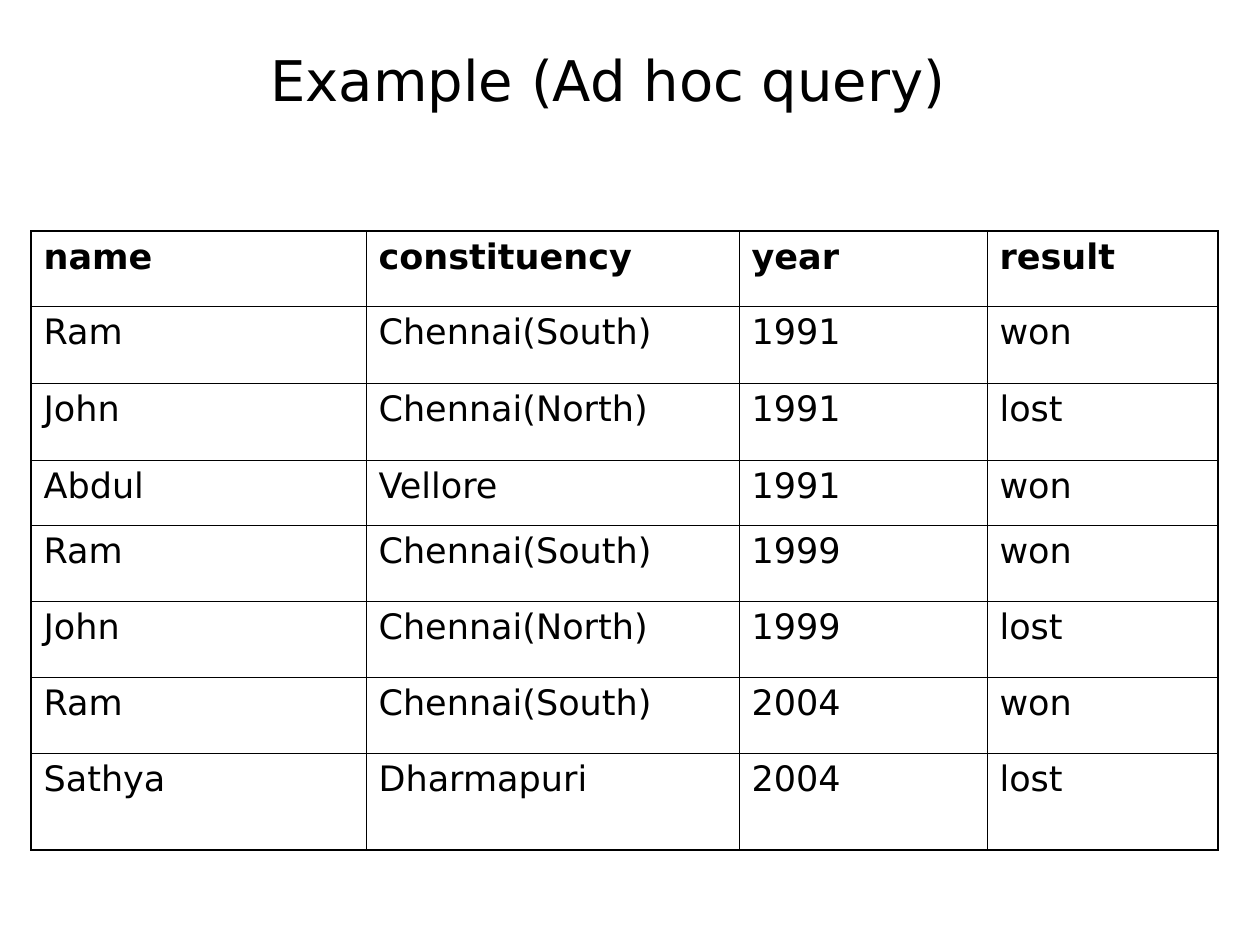
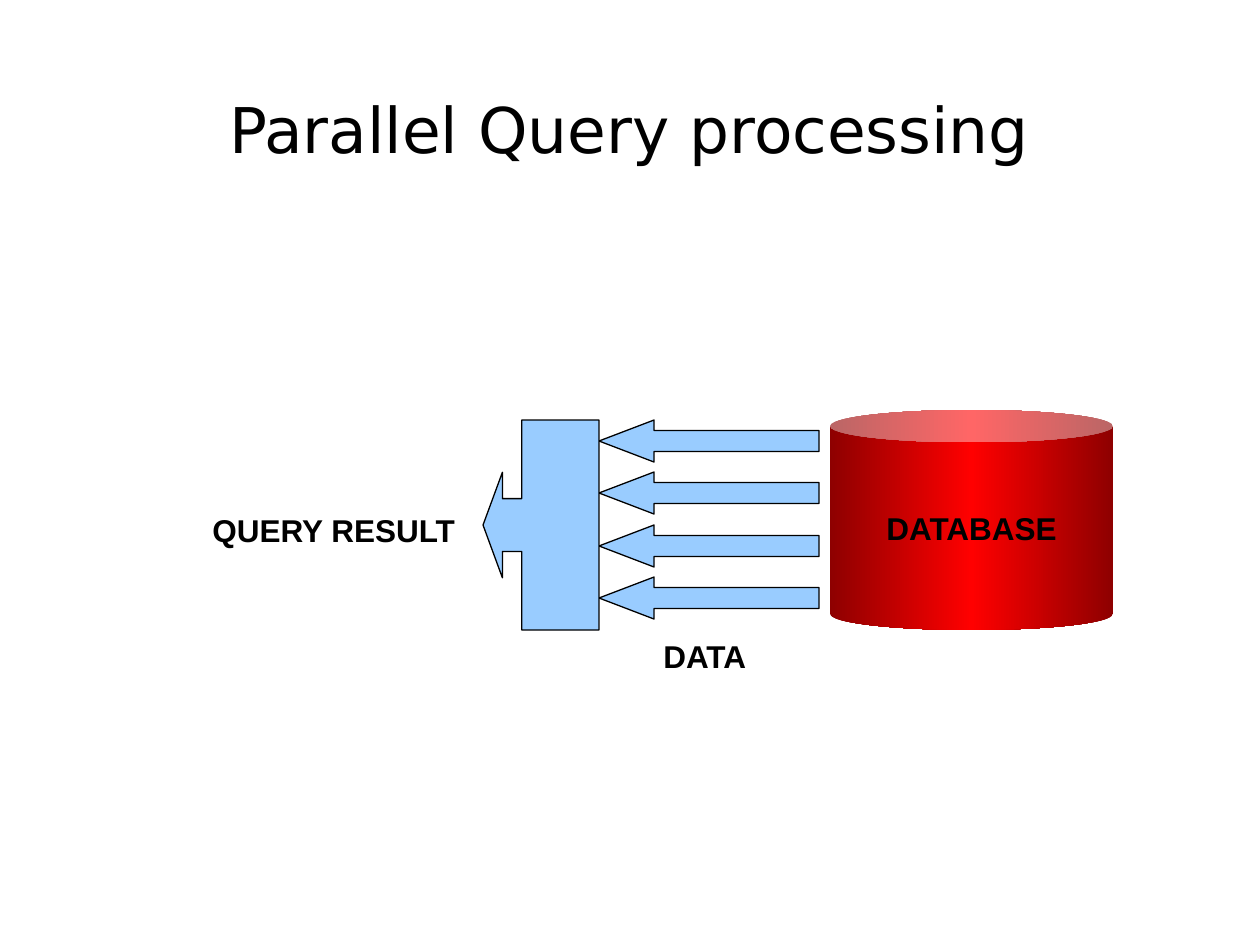
from copy import deepcopy

from lxml.etree import SubElement
from pptx import Presentation
from pptx.dml.color import RGBColor
from pptx.enum.shapes import MSO_SHAPE
from pptx.enum.text import MSO_ANCHOR, MSO_AUTO_SIZE, PP_ALIGN
from pptx.oxml.ns import qn
from pptx.util import Emu, Pt

PX_PER_INCH = 126
BLACK = "000000"
LIGHT_BLUE = "99CCFF"
DARK_RED = "8E0000"
RED = "FF0000"
TITLE_FONT = "DejaVu Sans"
LABEL_FONT = "Arial"
INNER_LINE = 0.45
OUTER_LINE = 1.08

RESULTS = [
    ("name", "constituency", "year", "result"),
    ("Ram", "Chennai(South)", "1991", "won"),
    ("John", "Chennai(North)", "1991", "lost"),
    ("Abdul", "Vellore", "1991", "won"),
    ("Ram", "Chennai(South)", "1999", "won"),
    ("John", "Chennai(North)", "1999", "lost"),
    ("Ram", "Chennai(South)", "2004", "won"),
    ("Sathya", "Dharmapuri", "2004", "lost"),
]
COLUMN_WIDTHS = [335, 373, 248, 231]
ROW_HEIGHTS = [75, 77, 77, 65, 76, 76, 76, 97]


def px(length):
    return Emu(round(length * 914400 / PX_PER_INCH))


def color(value):
    return RGBColor.from_string(value)


def add_text(frame, text, size, font, bold=False, align=PP_ALIGN.LEFT):
    para = frame.paragraphs[0]
    para.alignment = align
    span = para.add_run()
    span.text = text
    span.font.size = Pt(size)
    span.font.name = font
    span.font.bold = bold
    span.font.color.rgb = color(BLACK)


def add_box(page, left, top, width, height, anchor):
    box = page.shapes.add_textbox(px(left), px(top), px(width), px(height))
    box.text_frame.vertical_anchor = anchor
    return box.text_frame


def add_title(page, text, left, top, size, anchor):
    frame = add_box(page, left, top, 1071, 158, anchor)
    frame.word_wrap = True
    add_text(frame, text, size, TITLE_FONT, align=PP_ALIGN.CENTER)


def add_label(page, text, left, top, width):
    frame = add_box(page, left, top, width, 51, MSO_ANCHOR.MIDDLE)
    frame.word_wrap = False
    frame.auto_size = MSO_AUTO_SIZE.SHAPE_TO_FIT_TEXT
    add_text(frame, text, 18, LABEL_FONT, bold=True)


def add_preset(page, kind, left, top, width, height, adjustments):
    shape = page.shapes.add_shape(kind, px(left), px(top), px(width), px(height))
    shape.shadow.inherit = False
    for index, value in enumerate(adjustments):
        shape.adjustments[index] = value
    return shape


def add_blue_arrow(page, kind, left, top, width, height, adjustments):
    arrow = add_preset(page, kind, left, top, width, height, adjustments)
    arrow.fill.solid()
    arrow.fill.fore_color.rgb = color(LIGHT_BLUE)
    arrow.line.color.rgb = color(BLACK)
    arrow.line.width = Pt(0.75)
    return arrow


def add_database(page, text, left, top, width, height):
    can = add_preset(page, MSO_SHAPE.CAN, left, top, width, height, [0.147])
    can.line.fill.background()
    can.fill.gradient()
    can.fill.gradient_angle = 180
    # The default gradient has two stops; a third gives the bright middle
    stop_list = can._element.spPr.find(".//" + qn("a:gsLst"))
    stop_list.append(deepcopy(stop_list[-1]))
    stops = zip(can.fill.gradient_stops, (0, 0.5, 1), (DARK_RED, RED, DARK_RED))
    for stop, position, shade in stops:
        stop.position = position
        stop.color.rgb = color(shade)
    frame = can.text_frame
    frame.word_wrap = False
    frame.vertical_anchor = MSO_ANCHOR.MIDDLE
    add_text(frame, text, 18, LABEL_FONT, bold=True, align=PP_ALIGN.CENTER)


def set_borders(cell, outer_sides):
    properties = cell._tc.get_or_add_tcPr()
    for side in "LRTB":
        width = OUTER_LINE if side in outer_sides else INNER_LINE
        line = SubElement(properties, qn(f"a:ln{side}"), w=str(Pt(width)))
        SubElement(SubElement(line, qn("a:solidFill")), qn("a:srgbClr"), val=BLACK)


def add_grid(page, rows, left, top, widths, heights):
    grid = page.shapes.add_table(
        len(rows), len(widths), px(left), px(top), px(sum(widths)), px(sum(heights))
    ).table
    grid.first_row = False
    grid.horz_banding = False
    for column, width in zip(grid.columns, widths):
        column.width = px(width)
    for row, height in zip(grid.rows, heights):
        row.height = px(height)
    last_row, last_column = len(rows) - 1, len(widths) - 1
    for row_index, values in enumerate(rows):
        for column_index, value in enumerate(values):
            cell = grid.cell(row_index, column_index)
            edges = {
                "L": column_index == 0,
                "R": column_index == last_column,
                "T": row_index == 0,
                "B": row_index == last_row,
            }
            set_borders(cell, [side for side, outer in edges.items() if outer])
            cell.fill.background()
            add_text(cell.text_frame, value, 20, TITLE_FONT, bold=row_index == 0)


def build_example(page):
    add_title(page, "Example (Ad hoc query)", 73, 0, 32, MSO_ANCHOR.MIDDLE)
    add_grid(page, RESULTS, 31, 231, COLUMN_WIDTHS, ROW_HEIGHTS)


def build_parallel_query(page):
    add_title(page, "Parallel Query processing", 94, 84, 36, MSO_ANCHOR.TOP)
    add_database(page, "DATABASE", 830, 410, 283, 220)

    # Parallel data streams, evenly spaced
    for index in range(4):
        top = 420 + index * 105 // 2
        add_blue_arrow(page, MSO_SHAPE.LEFT_ARROW, 599, top, 220, 42, [0.5, 1.31])

    # Collector that points to the result
    collector = add_blue_arrow(
        page, MSO_SHAPE.RIGHT_ARROW_CALLOUT, 483, 420, 116, 210,
        [0.455, 0.455, 0.167, 0.667],
    )
    collector.rotation = 180

    add_label(page, "DATA", 651, 630, 112)
    add_label(page, "QUERY RESULT", 200, 504, 272)


def main():
    deck = Presentation()
    deck.slide_width = px(1260)
    deck.slide_height = px(945)
    blank = deck.slide_layouts[6]
    for build in (build_example, build_parallel_query):
        build(deck.slides.add_slide(blank))
    deck.save("out.pptx")


if __name__ == "__main__":
    main()
